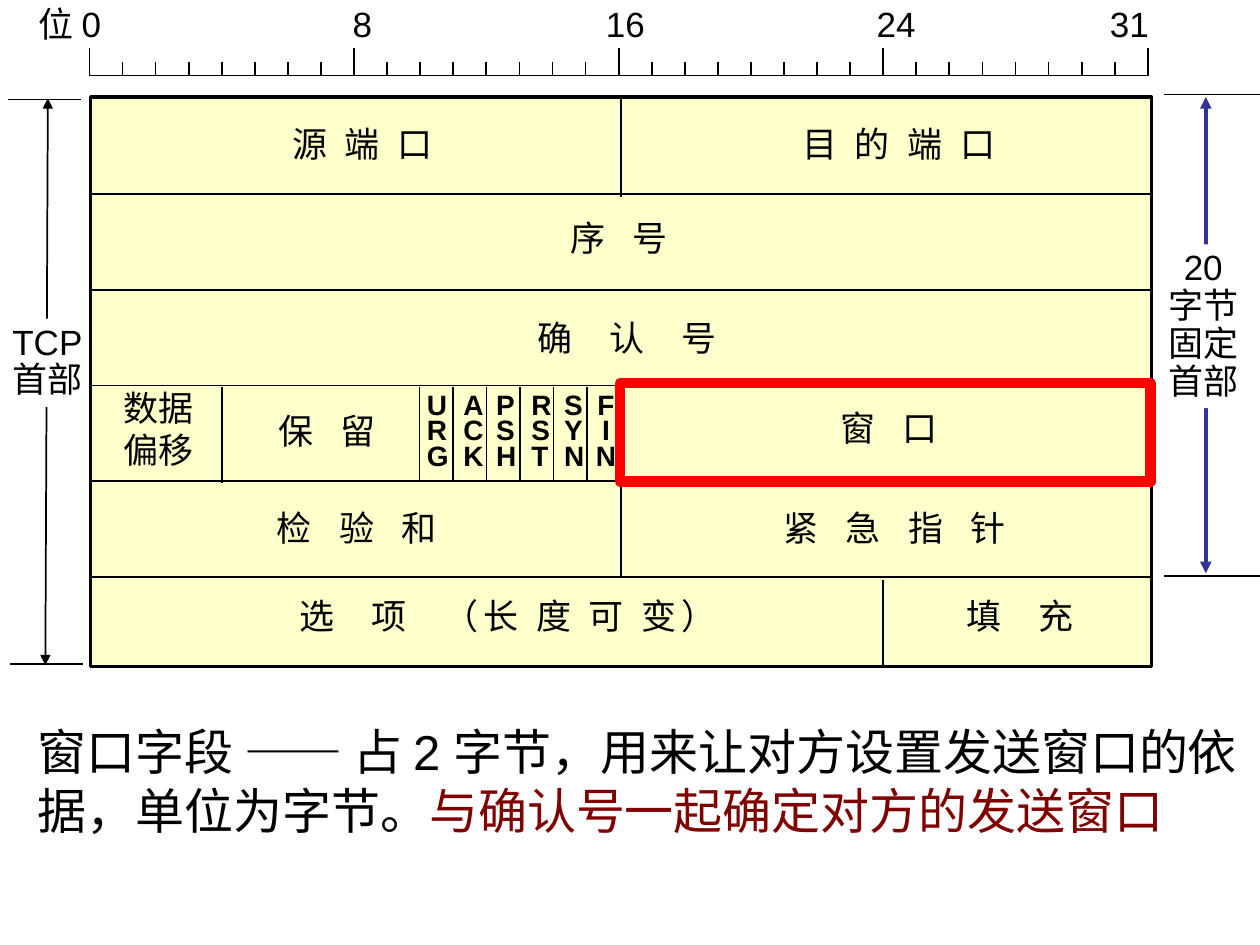
from lxml.etree import SubElement
from pptx import Presentation
from pptx.dml.color import RGBColor
from pptx.enum.shapes import MSO_CONNECTOR, MSO_SHAPE
from pptx.enum.text import MSO_ANCHOR, MSO_AUTO_SIZE, PP_ALIGN
from pptx.oxml.ns import qn
from pptx.util import Inches, Pt

COLOURS = {"ink": "000000", "paper": "FFFFFF", "field": "FFFFCC",
           "fixed": "333399", "focus": "FF0000", "remark": "800000"}


class HeaderSlide:
    """Draws the parts of a protocol header diagram in one style."""

    font = "Arial"
    space_width = 0.278

    def __init__(self, deck):
        self.slide = deck.slides.add_slide(deck.slide_layouts[5])
        self.shapes = self.slide.shapes

    def colour(self, name):
        return RGBColor.from_string(COLOURS[name])

    def style(self, paragraph, size, bold=False):
        paragraph.font.name = self.font
        paragraph.font.size = Pt(size)
        paragraph.font.bold = bold
        paragraph.font.color.rgb = self.colour("ink")

    def line(self, x1, y1, x2, y2, colour="ink", width=1, arrows=False):
        connector = self.shapes.add_connector(
            MSO_CONNECTOR.STRAIGHT, Inches(x1), Inches(y1), Inches(x2), Inches(y2))
        connector.line.color.rgb = self.colour(colour)
        connector.line.width = Pt(width)
        if arrows:
            outline = connector.line._get_or_add_ln()
            for end in ("a:headEnd", "a:tailEnd"):
                SubElement(outline, qn(end), type="triangle")
        SubElement(connector._element.spPr, qn("a:effectLst"))
        return connector

    def box(self, x, y, width, height, outline, weight, fill=None):
        rectangle = self.shapes.add_shape(
            MSO_SHAPE.RECTANGLE, Inches(x), Inches(y), Inches(width), Inches(height))
        rectangle.shadow.inherit = False
        if fill:
            rectangle.fill.solid()
            rectangle.fill.fore_color.rgb = self.colour(fill)
        else:
            rectangle.fill.background()
        rectangle.line.color.rgb = self.colour(outline)
        rectangle.line.width = Pt(weight)
        return rectangle

    def text(self, x, y, width, height, lines, size=20, bold=False, spacing=None,
             align=PP_ALIGN.LEFT, wrap=False, fill=None):
        label = self.shapes.add_textbox(Inches(x), Inches(y), Inches(width), Inches(height))
        if fill:
            label.fill.solid()
            label.fill.fore_color.rgb = self.colour(fill)
        frame = label.text_frame
        frame.word_wrap = wrap
        for index, words in enumerate(lines):
            paragraph = frame.add_paragraph() if index else frame.paragraphs[0]
            paragraph.add_run().text = words
            paragraph.alignment = align
            if spacing:
                paragraph.line_spacing = spacing
            self.style(paragraph, size, bold)
        return frame.paragraphs[0]

    def field(self, x, y, width, *parts):
        paragraph = self.text(x, y, width, 0.43, [], wrap=True)
        for words, gap in parts:
            run = paragraph.add_run()
            run.text = words
            tracking = (gap - 1) * self.space_width / 2 * 20 * 100
            run._r.get_or_add_rPr().set("spc", str(round(tracking)))
        self.style(paragraph, 20)

    def scale(self, x, y, width, words, stops):
        paragraph = self.text(x, y, width, 0.43, [], wrap=True)
        paragraph.add_run().text = words
        tabs = SubElement(paragraph._p.get_or_add_pPr(), qn("a:tabLst"))
        for stop in stops:
            SubElement(tabs, qn("a:tab"), pos=str(Inches(stop)), algn="l")
        self.style(paragraph, 20)

    def title(self, x, y, width, height, parts):
        heading = self.shapes.title
        heading.left, heading.top = Inches(x), Inches(y)
        heading.width, heading.height = Inches(width), Inches(height)
        frame = heading.text_frame
        frame.word_wrap = True
        frame.auto_size = MSO_AUTO_SIZE.NONE
        frame.vertical_anchor = MSO_ANCHOR.BOTTOM
        paragraph = frame.paragraphs[0]
        paragraph.alignment = PP_ALIGN.LEFT
        self.style(paragraph, 28)
        for words, colour in parts:
            run = paragraph.add_run()
            run.text = words
            run.font.color.rgb = self.colour(colour)


def main():
    deck = Presentation()
    deck.slide_width, deck.slide_height = Inches(10), Inches(7.5)
    header = HeaderSlide(deck)

    header.line(0.38, 0.78, 0.36, 5.28, arrows=True)
    header.text(0, 2.53, 0.76, 0.7, ["TCP", "首部"], spacing=0.9, fill="paper")
    header.line(9.57, 0.77, 9.57, 4.55, "fixed", 2.25, arrows=True)
    header.text(9.17, 1.94, 0.76, 1.3, ["20", "字节", "固定", "首部"],
                spacing=0.9, align=PP_ALIGN.CENTER, fill="paper")
    for left, right, y in ((9.24, 10, 0.75), (9.24, 10, 4.57),
                           (0.06, 0.64, 0.79), (0.08, 0.66, 5.27)):
        header.line(left, y, right, y)

    segment = header.box(0.72, 0.77, 8.42, 4.52, "ink", 2, "field")
    for row in range(5):
        y = 1.54 + 0.76 * row
        header.line(0.72, y, 9.13, y)
    ports_divider = header.line(4.93, 0.77, 4.93, 1.56)
    ports_divider.begin_connect(segment, 0)
    for x, top, bottom in ((4.93, 3.07, 4.57), (1.76, 3.07, 3.83), (7.01, 4.6, 5.29)):
        header.line(x, top, x, bottom)

    for x, y, width, *parts in (
            (2.22, 0.92, 1.5, ("源 端 口", 2)),
            (6.27, 0.92, 1.9, ("目 的 端 口", 2)),
            (4.43, 1.67, 1.5, ("序 号", 3)),
            (4.17, 2.46, 2, ("确 认 号", 4)),
            (2.11, 3.2, 1.1, ("保 留", 3)),
            (6.57, 3.18, 1.1, ("窗 口", 3)),
            (2.1, 3.97, 1.6, ("检 验 和", 3)),
            (6.12, 3.97, 2.1, ("紧 急 指 针", 3)),
            (2.28, 4.67, 3.8, ("选 项 ", 4), ("（长 度 可 变）", 2)),
            (7.57, 4.67, 1.4, ("填 充", 4))):
        header.field(x, y, width, *parts)
    header.text(0.88, 3.02, 0.76, 0.76, ["数据", "偏移"])

    flags = {"URG": 3.29, "ACK": 3.58, "PSH": 3.84, "RST": 4.12, "SYN": 4.38, "FIN": 4.63}
    for index, (flag, left) in enumerate(flags.items()):
        divider = 3.33 + 1.33 * index / 5
        header.line(divider, 3.07, divider, 3.82)
        header.text(left, 3.09, 0.36, 0.7, flag, 16, True, 0.75,
                    PP_ALIGN.CENTER if flag == "FIN" else PP_ALIGN.LEFT)

    header.line(0.71, 0.6, 9.11, 0.6)
    for bit in range(33):
        x = 0.71 + 8.4 * bit / 32
        header.line(x, 0.49 if bit % 8 else 0.38, x, 0.6)
    header.scale(0.21, -0.03, 9.3, "位 0\t8\t16\t24\t31", (2.49, 4.5, 6.65, 8.5))

    header.box(4.92, 3.04, 4.21, 0.78, "focus", 6)
    header.title(0.2, 5.48, 9.73, 1.23, (
        ("窗口字段 —— 占 2 字节，用来让对方设置发送窗口的依据，单位为字节。", "ink"),
        ("与确认号一起确定对方的发送窗口", "remark")))
    deck.save("out.pptx")


if __name__ == "__main__":
    main()
